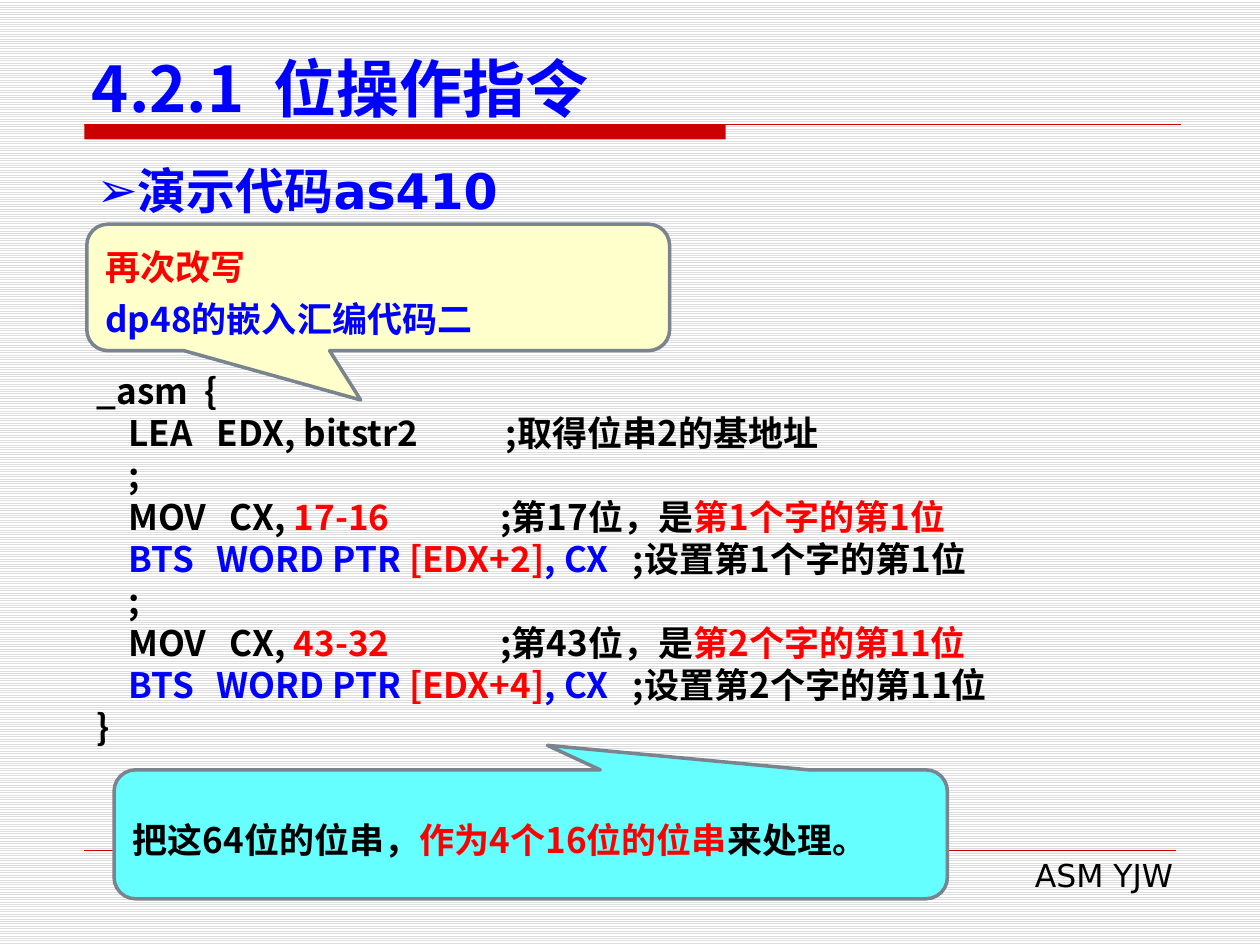
from dataclasses import dataclass
from typing import NamedTuple

from lxml import etree
from pptx import Presentation
from pptx.dml.color import RGBColor
from pptx.enum.dml import MSO_PATTERN
from pptx.enum.shapes import MSO_CONNECTOR, MSO_SHAPE
from pptx.enum.text import MSO_ANCHOR, MSO_AUTO_SIZE, PP_ALIGN
from pptx.oxml.ns import qn
from pptx.util import Cm, Pt

LEFT, RIGHT, JUSTIFY = PP_ALIGN.LEFT, PP_ALIGN.RIGHT, PP_ALIGN.JUSTIFY
CALLOUT = MSO_SHAPE.ROUNDED_RECTANGULAR_CALLOUT
TITLE_ONLY = 5


@dataclass(frozen=True)
class Theme:
    black: RGBColor = RGBColor(0, 0, 0)
    blue: RGBColor = RGBColor(0, 0, 0xFF)
    red: RGBColor = RGBColor(0xFF, 0, 0)
    rule: RGBColor = RGBColor(0xCC, 0, 0)
    white: RGBColor = RGBColor(0xFF, 0xFF, 0xFF)
    stripe: RGBColor = RGBColor(0xDD, 0xDD, 0xDD)
    cream: RGBColor = RGBColor(0xFF, 0xFF, 0xCC)
    cyan: RGBColor = RGBColor(0x66, 0xFF, 0xFF)
    outline: RGBColor = RGBColor(0x79, 0x84, 0x8F)
    cjk: str = "Noto Sans CJK SC"
    sans: str = "DejaVu Sans"
    title: Pt = Pt(36)
    heading: Pt = Pt(28)
    body: Pt = Pt(20)
    footer: Pt = Pt(18)


THEME = Theme()


class Box(NamedTuple):
    """Left, top, width and height in centimetres."""
    x: float
    y: float
    w: float
    h: float

    def lengths(self):
        return [Cm(value) for value in self]


class CodeLine(NamedTuple):
    tab_stops: tuple
    runs: list


def write(paragraph, runs, size, font=THEME.cjk, bold=True, align=LEFT, spacing=None):
    """Fill a paragraph with (text, colour) runs that share one font."""
    paragraph.alignment = align
    paragraph.line_spacing = spacing
    paragraph.font.name = font
    paragraph.font.size = size
    paragraph.font.bold = bold
    defaults = paragraph._p.pPr.find(qn("a:defRPr"))
    etree.SubElement(defaults, qn("a:ea"), typeface=THEME.cjk)
    for text, color in runs:
        run = paragraph.add_run()
        run.text = text
        run.font.color.rgb = color


def add_to_paragraph(paragraph, tag, **attributes):
    """Put a property element before the paragraph's default font."""
    element = etree.Element(qn(tag), **attributes)
    paragraph._p.pPr.find(qn("a:defRPr")).addprevious(element)
    return element


def set_bullet(paragraph, char, indent):
    properties = paragraph._p.pPr
    properties.set("marL", str(indent))
    properties.set("indent", str(-indent))
    add_to_paragraph(paragraph, "a:buFont", typeface=THEME.sans)
    add_to_paragraph(paragraph, "a:buChar", char=char)


def set_tab_stops(paragraph, stops):
    tabs = add_to_paragraph(paragraph, "a:tabLst")
    for stop in stops:
        etree.SubElement(tabs, qn("a:tab"), pos=str(Cm(stop)), algn="l")


def add_text_frame(slide, box):
    frame = slide.shapes.add_textbox(*box.lengths()).text_frame
    frame.word_wrap = True
    return frame


def add_rule(slide, x, y, width, weight):
    rule = slide.shapes.add_connector(
        MSO_CONNECTOR.STRAIGHT, Cm(x), Cm(y), Cm(x + width), Cm(y))
    rule.line.color.rgb = THEME.rule
    rule.line.width = weight
    etree.SubElement(rule._element.spPr, qn("a:effectLst"))


def paint_background(slide):
    fill = slide.background.fill
    fill.patterned()
    fill.pattern = MSO_PATTERN.LIGHT_HORIZONTAL
    fill.fore_color.rgb = THEME.stripe
    fill.back_color.rgb = THEME.white


def place_title(slide, box, text):
    title = slide.shapes.title
    title.left, title.top, title.width, title.height = box.lengths()
    frame = title.text_frame
    frame.auto_size = MSO_AUTO_SIZE.NONE
    frame.vertical_anchor = MSO_ANCHOR.BOTTOM
    frame.margin_bottom = 0
    write(frame.paragraphs[0], [(text, THEME.blue)], THEME.title, spacing=Pt(43))


def add_title_rule(slide, box, bar_width):
    bar = slide.shapes.add_shape(
        MSO_SHAPE.RECTANGLE, *box._replace(w=bar_width).lengths())
    bar.shadow.inherit = False
    bar.fill.solid()
    bar.fill.fore_color.rgb = THEME.rule
    bar.line.fill.background()
    add_rule(slide, box.x, box.y, box.w, Pt(0.75))


def add_footer(slide, box, text):
    add_rule(slide, box.x, box.y, box.w, Pt(0.25))
    frame = add_text_frame(slide, box._replace(w=box.w + 0.2))
    write(frame.paragraphs[0], [(text, THEME.black)], THEME.footer,
          font=THEME.sans, bold=False, align=RIGHT)


def add_heading(slide, box, text):
    paragraph = add_text_frame(slide, box).paragraphs[0]
    write(paragraph, [(text, THEME.blue)], THEME.heading, font=THEME.sans, align=JUSTIFY)
    set_bullet(paragraph, "➢", Cm(0.83))


def add_code(slide, box, lines):
    frame = add_text_frame(slide, box)
    for index, line in enumerate(lines):
        paragraph = frame.add_paragraph() if index else frame.paragraphs[0]
        write(paragraph, line.runs, THEME.body, spacing=Pt(24))
        if line.tab_stops:
            set_tab_stops(paragraph, line.tab_stops)


def add_callout(slide, box, fill, pointer, paragraphs):
    """Add a speech bubble whose tip is at pointer, in parts of its size from its centre."""
    callout = slide.shapes.add_shape(CALLOUT, *box.lengths())
    callout.shadow.inherit = False
    callout.adjustments[0], callout.adjustments[1] = pointer
    callout.fill.solid()
    callout.fill.fore_color.rgb = fill
    callout.line.color.rgb = THEME.outline
    callout.line.width = Pt(2)
    frame = callout.text_frame
    frame.word_wrap = True
    frame.vertical_anchor = MSO_ANCHOR.MIDDLE
    for index, runs in enumerate(paragraphs):
        paragraph = frame.add_paragraph() if index else frame.paragraphs[0]
        write(paragraph, runs, THEME.body, spacing=Pt(30))


def set_bit_lines(bit, word, bit_in_word):
    """Return the code that sets one bit of the string through its 16-bit word."""
    black, blue, red = THEME.black, THEME.blue, THEME.red
    return [
        CodeLine((0.64,), [("\t;", black)]),
        CodeLine((0.64, 2.68, 8.14), [
            ("\tMOV\tCX, ", black), (f"{bit}-{16 * word}", red),
            (f"\t;第{bit}位，是", black), (f"第{word}个字的第{bit_in_word}位", red)]),
        CodeLine((0.64, 2.42, 10.81), [
            ("\tBTS\tWORD PTR ", blue), (f"[EDX+{2 * word}]", red), (", CX", blue),
            (f"\t;设置第{word}个字的第{bit_in_word}位", black)]),
    ]


def main():
    presentation = Presentation()
    presentation.slide_width, presentation.slide_height = Cm(25.4), Cm(19.05)
    slide = presentation.slides.add_slide(presentation.slide_layouts[TITLE_ONLY])
    black, blue, red = THEME.black, THEME.blue, THEME.red

    paint_background(slide)
    place_title(slide, Box(1.6, 0.84, 22.22, 1.68), "4.2.1  位操作指令")
    add_title_rule(slide, Box(1.7, 2.51, 22.1, 0.3), bar_width=12.93)
    add_footer(slide, Box(1.7, 17.14, 22, 1.02), "ASM YJW")
    add_heading(slide, Box(1.7, 3.12, 22, 1.45), "演示代码as410")
    add_code(slide, Box(1.7, 7.32, 23, 7.95), [
        CodeLine((), [("_asm  {", black)]),
        CodeLine((0.64, 2.42, 8.25), [("\tLEA\tEDX, bitstr2\t;取得位串2的基地址", black)]),
        *set_bit_lines(17, 1, 1),
        *set_bit_lines(43, 2, 11),
        CodeLine((), [("}", black)]),
    ])
    add_callout(slide, Box(1.75, 4.52, 11.75, 2.55), THEME.cream, (-0.03, 0.89),
                [[("再次改写", red)], [("dp48的嵌入汇编代码二", blue)]])
    add_callout(slide, Box(2.3, 15.52, 16.8, 2.6), THEME.cyan, (0.02, -0.69),
                [[("把这64位的位串，", black), ("作为4个16位的位串", red), ("来处理。", black)]])
    presentation.save("out.pptx")


if __name__ == "__main__":
    main()
